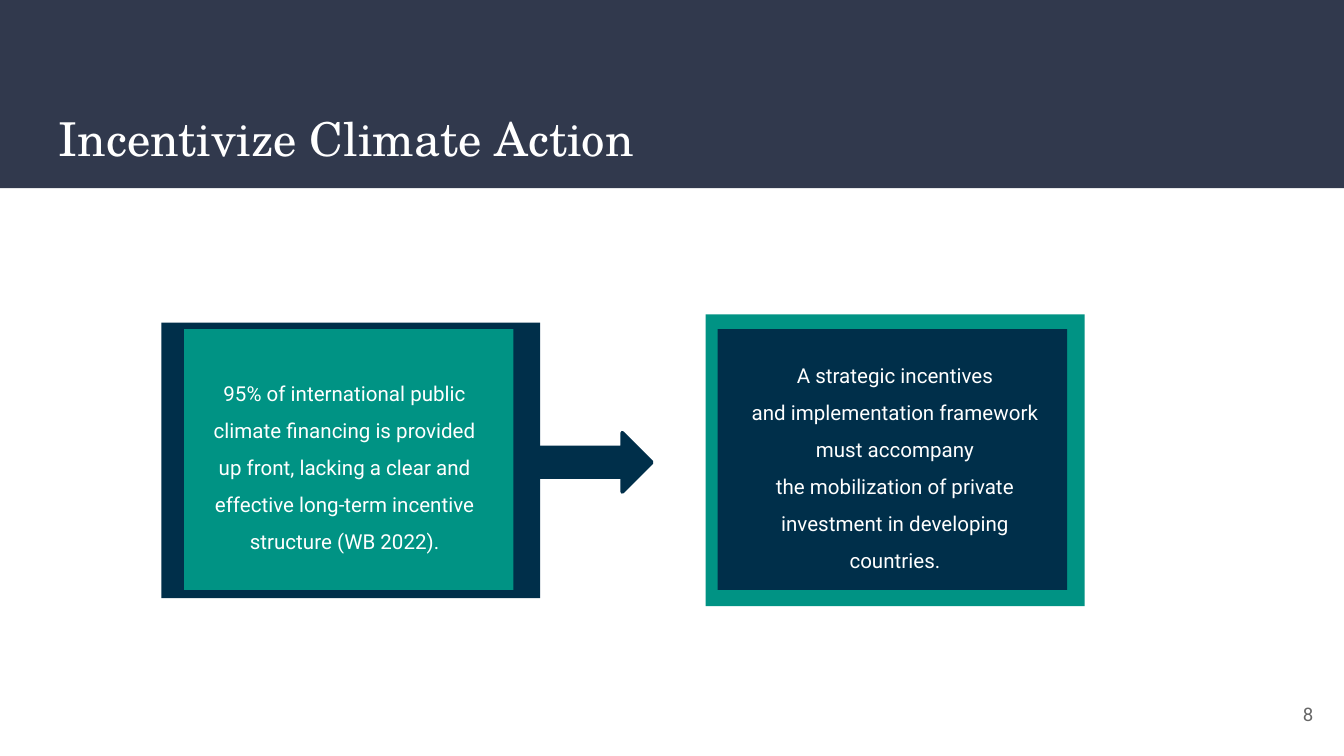
from dataclasses import dataclass

import pptx
import pptx.dml.color
import pptx.enum.shapes
import pptx.enum.text
import pptx.util

Inches = pptx.util.Inches
RGBColor = pptx.dml.color.RGBColor
Shapes = pptx.enum.shapes.MSO_SHAPE
Align = pptx.enum.text.PP_ALIGN
Anchor = pptx.enum.text.MSO_ANCHOR

SLATE = RGBColor(0x31, 0x39, 0x4D)
NAVY = RGBColor(0x00, 0x2F, 0x4A)
TEAL = RGBColor(0x00, 0x93, 0x84)
WHITE = RGBColor(0xFF, 0xFF, 0xFF)
GRAY = RGBColor(0x66, 0x66, 0x66)

HARD_SPACE = chr(160)


@dataclass(frozen=True)
class Box:
    left: float
    top: float
    width: float
    height: float

    def lengths(self) -> list[int]:
        return [Inches(v) for v in (self.left, self.top, self.width, self.height)]


@dataclass(frozen=True)
class TextStyle:
    size: float
    color: RGBColor = WHITE
    font: str = "Roboto"
    align: Align = Align.LEFT
    anchor: Anchor = Anchor.TOP
    line_spacing: float = 1.0


@dataclass(frozen=True)
class Card:
    frame: Box
    panel: Box
    label: Box
    frame_color: RGBColor
    panel_color: RGBColor
    text: str


TITLE = TextStyle(25, font="TeX Gyre Schola")
BODY = TextStyle(11, align=Align.CENTER, line_spacing=1.5)
PAGE_NUMBER = TextStyle(10, color=GRAY, align=Align.RIGHT, anchor=Anchor.MIDDLE)

CARDS = [
    Card(
        Box(1.2, 2.4, 2.82, 2.05),
        Box(1.37, 2.45, 2.45, 1.94),
        Box(1.41, 2.64, 2.31, 1.57),
        NAVY,
        TEAL,
        f"95% of international public climate financing is{HARD_SPACE}provided up front, "
        "lacking a clear and effective long-term incentive structure (WB 2022).",
    ),
    Card(
        Box(5.25, 2.34, 2.82, 2.17),
        Box(5.34, 2.45, 2.6, 1.94),
        Box(5.43, 2.51, 2.46, 1.76),
        TEAL,
        NAVY,
        f"A strategic{HARD_SPACE}incentives and{HARD_SPACE}implementation framework "
        f"must{HARD_SPACE}accompany the{HARD_SPACE}mobilization of{HARD_SPACE}private "
        f"investment in{HARD_SPACE}developing countries.",
    ),
]


def add_block(slide, box: Box, color: RGBColor, kind=Shapes.RECTANGLE):
    shape = slide.shapes.add_shape(kind, *box.lengths())
    shape.shadow.inherit = False
    shape.fill.solid()
    shape.fill.fore_color.rgb = color
    shape.line.fill.background()
    return shape


def write_text(shape, text: str, style: TextStyle) -> None:
    frame = shape.text_frame
    frame.word_wrap = True
    frame.vertical_anchor = style.anchor
    frame.margin_left = frame.margin_right = Inches(0.1)
    frame.margin_top = frame.margin_bottom = Inches(0.1)
    paragraph = frame.paragraphs[0]
    paragraph.alignment = style.align
    paragraph.line_spacing = style.line_spacing
    run = paragraph.add_run()
    run.text = text
    run.font.size = pptx.util.Pt(style.size)
    run.font.name = style.font
    run.font.color.rgb = style.color


def add_card(slide, card: Card) -> None:
    add_block(slide, card.frame, card.frame_color)
    add_block(slide, card.panel, card.panel_color)
    label = add_block(slide, card.label, card.panel_color)
    write_text(label, card.text, BODY)


def add_arrow(slide, box: Box, color: RGBColor) -> None:
    arrow = add_block(slide, box, color, Shapes.RIGHT_ARROW)
    arrow.line.color.rgb = color
    arrow.line.width = pptx.util.Pt(2)


def main() -> None:
    presentation = pptx.Presentation()
    presentation.slide_width = Inches(10)
    presentation.slide_height = Inches(10) * 9 // 16
    slide = presentation.slides.add_slide(presentation.slide_layouts[6])

    add_block(slide, Box(0, 0, 10, 1.4), SLATE)
    title = slide.shapes.add_textbox(*Box(0.34, 0.72, 9.32, 0.68).lengths())
    write_text(title, "Incentivize Climate Action", TITLE)

    for card in CARDS:
        add_card(slide, card)
    add_arrow(slide, Box(3.94, 3.22, 0.91, 0.44), NAVY)

    page_number = slide.shapes.add_textbox(*Box(9.27, 5.1, 0.6, 0.43).lengths())
    write_text(page_number, "8", PAGE_NUMBER)

    presentation.save("out.pptx")


if __name__ == "__main__":
    main()
